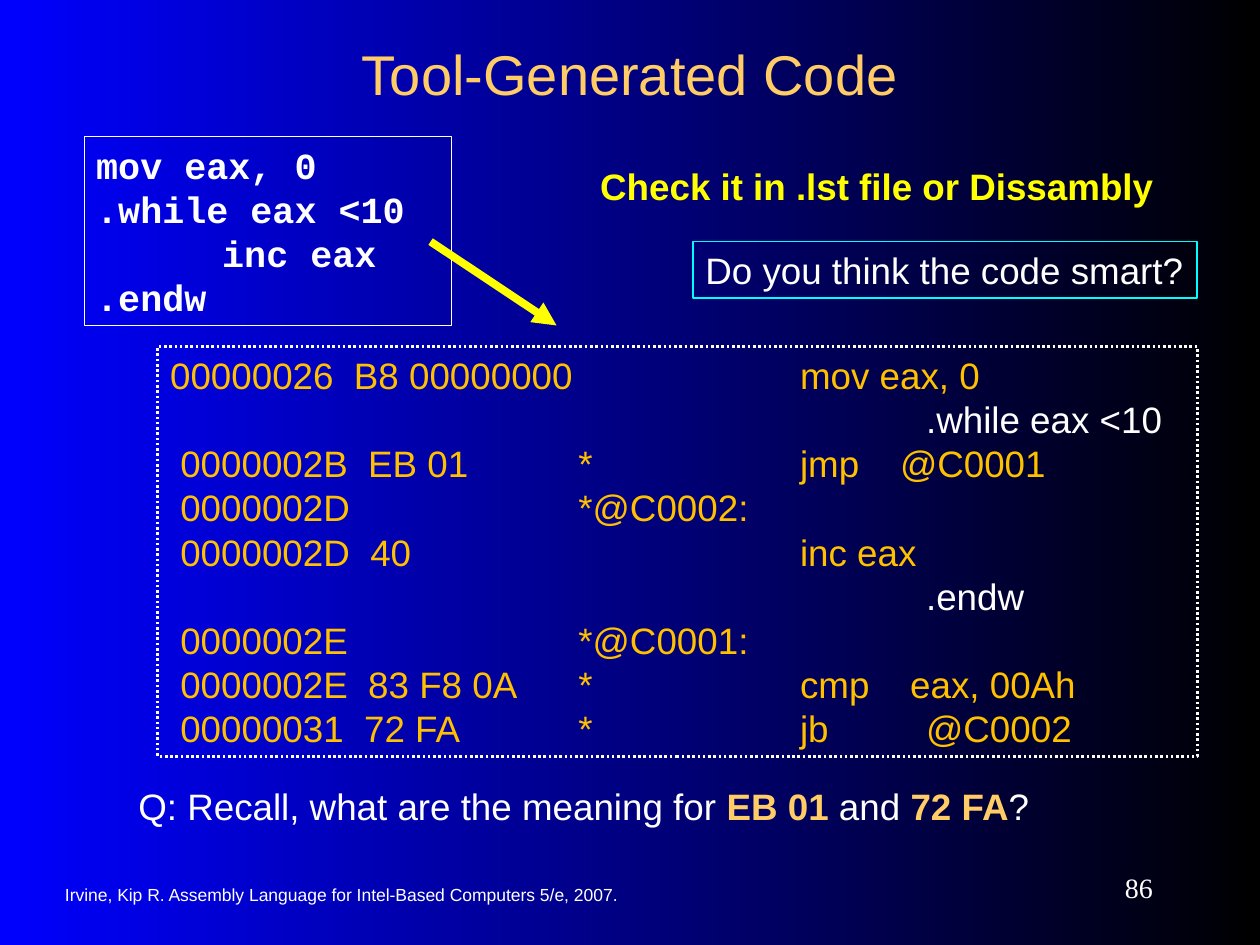
from lxml import etree
from pptx import Presentation
from pptx import util as u
from pptx.dml.color import RGBColor
from pptx.enum import dml, shapes, text
from pptx.oxml import ns

COLORS = {
    "blue": "0000FF", "black": "000000", "white": "FFFFFF", "yellow": "FFFF00",
    "amber": "FFC000", "sand": "FFCC66", "cyan": "00FFFF",
}
BODY_SIZE, BODY_PITCH = 21, 25.2
LISTING_TABS = (8.23, 12.7, 15.24)  # marker, instruction, operand columns

SOURCE_CODE = ("mov eax, 0", ".while eax <10", "\tinc eax", ".endw")
LISTING = (
    ("00000026  B8 00000000\t\tmov eax, 0", "amber"),
    ("\t\t\t.while eax <10", "white"),
    (" 0000002B  EB 01\t*\tjmp    @C0001", "amber"),
    (" 0000002D\t*@C0002:", "amber"),
    (" 0000002D  40\t\tinc eax", "amber"),
    ("\t\t\t.endw", "white"),
    (" 0000002E\t*@C0001:", "amber"),
    (" 0000002E  83 F8 0A\t*\tcmp    eax, 00Ah", "amber"),
    (" 00000031  72 FA\t*\tjb\t@C0002", "amber"),
)


def rgb(color):
    return RGBColor.from_string(COLORS[color])


def set_tabs(paragraph, stops):
    tab_list = etree.SubElement(paragraph._p.get_or_add_pPr(), ns.qn("a:tabLst"))
    for stop in stops:
        etree.SubElement(tab_list, ns.qn("a:tab"), pos=str(u.Cm(stop)), algn="l")


def set_font(font, color, size=BODY_SIZE, name="Arial", bold=False):
    font.name, font.size, font.bold = name, u.Pt(size), bold
    font.color.rgb = rgb(color)


def write_lines(frame, lines, tabs=(), pitch=BODY_PITCH, align="LEFT", **style):
    """Write (wording, colour) pairs, one paragraph each."""
    for index, (wording, color) in enumerate(lines):
        paragraph = frame.paragraphs[0] if index == 0 else frame.add_paragraph()
        paragraph.alignment = text.PP_ALIGN[align]
        if pitch:
            paragraph.line_spacing = u.Pt(pitch)
        if tabs:
            set_tabs(paragraph, tabs)
        paragraph.add_run().text = wording
        set_font(paragraph.font, color, **style)


def add_label(slide, box, anchor="TOP"):
    frame = slide.shapes.add_textbox(*map(u.Cm, box)).text_frame
    frame.word_wrap = True
    frame.vertical_anchor = text.MSO_ANCHOR[anchor]
    return frame


def add_frame(slide, box, color, width, dash=None):
    panel = slide.shapes.add_shape(shapes.MSO_SHAPE.RECTANGLE, *map(u.Cm, box))
    panel.shadow.inherit = False
    panel.fill.background()
    panel.line.color.rgb = rgb(color)
    panel.line.width = u.Pt(width)
    if dash:
        panel.line.dash_style = dash
    frame = panel.text_frame
    frame.word_wrap = True
    frame.vertical_anchor = text.MSO_ANCHOR.TOP
    return frame


def add_background(slide):
    fill = slide.background.fill
    fill.gradient()
    fill.gradient_angle = 0
    for stop, color in zip(fill.gradient_stops, ("blue", "black")):
        stop.color.rgb = rgb(color)


def add_title(slide, box):
    write_lines(add_label(slide, box, "MIDDLE"), [("Tool-Generated Code", "sand")],
                pitch=None, align="CENTER", size=32)


def add_source_code(slide, box):
    """Place the source code and the arrow leading from it to the listing."""
    left, top, width, _ = box
    write_lines(add_frame(slide, box, "white", 0.25),
                [(line, "white") for line in SOURCE_CODE],
                tabs=(2.54,), name="Courier New", bold=True)
    x, y = left + width - 0.42, top + 2.12
    arrow = slide.shapes.add_connector(
        shapes.MSO_CONNECTOR.STRAIGHT, *map(u.Cm, (x, y, x + 2.54, y + 1.69)))
    arrow.line.color.rgb = rgb("yellow")
    arrow.line.width = u.Pt(4.5)
    etree.SubElement(arrow.line._get_or_add_ln(), ns.qn("a:tailEnd"), type="triangle")
    etree.SubElement(arrow._element.spPr, ns.qn("a:effectLst"))


def add_listing(slide, box):
    frame = add_frame(slide, box, "white", 1.5, dml.MSO_LINE.ROUND_DOT)
    write_lines(frame, LISTING, tabs=LISTING_TABS)


def add_remarks(slide, box):
    """Place the hint above the framed question, both inside the box."""
    left, top, width, height = box
    write_lines(add_label(slide, (left, top, width, 1.14)),
                [("Check it in .lst file or Dissambly", "yellow")], bold=True)
    question = (left + width - 10.04, top + height - 1.14, 10.16, 1.14)
    write_lines(add_frame(slide, question, "cyan", 0.75),
                [("Do you think the code smart?", "white")])


def add_recall_question(slide, box):
    paragraph = add_label(slide, box).paragraphs[0]
    paragraph.line_spacing = u.Pt(BODY_PITCH)
    for wording, key_bytes in (
            ("Q: Recall, what are the meaning for ", False), ("EB 01 ", True),
            ("and ", False), ("72 FA", True), ("?", False)):
        run = paragraph.add_run()
        run.text = wording
        set_font(run.font, "sand" if key_bytes else "white", bold=key_bytes)


def add_footer(slide, box):
    left, top, width, height = box
    write_lines(add_label(slide, (left, top + 0.24, 13.12, 0.85), "MIDDLE"),
                [("Irvine, Kip R. Assembly Language for Intel-Based Computers 5/e, 2007.",
                  "white")], pitch=None, size=10)
    write_lines(add_label(slide, (left + width - 2.75, top, 2.75, height), "MIDDLE"),
                [("86", "white")], pitch=None, align="RIGHT", size=16,
                name="Times New Roman")


def main():
    deck = Presentation()
    deck.slide_width, deck.slide_height = u.Cm(25.4), u.Cm(19.05)
    slide = deck.slides.add_slide(deck.slide_layouts[6])
    add_background(slide)
    add_title(slide, (1.9, 0.62, 21.6, 1.7))
    add_source_code(slide, (1.69, 2.75, 7.41, 3.81))
    add_listing(slide, (3.18, 6.99, 20.96, 8.26))
    add_remarks(slide, (11.85, 3.18, 12.16, 2.83))
    add_recall_question(slide, (2.54, 15.67, 21.38, 1.14))
    add_footer(slide, (1.06, 17.36, 22.43, 1.06))
    deck.save("out.pptx")


if __name__ == "__main__":
    main()
